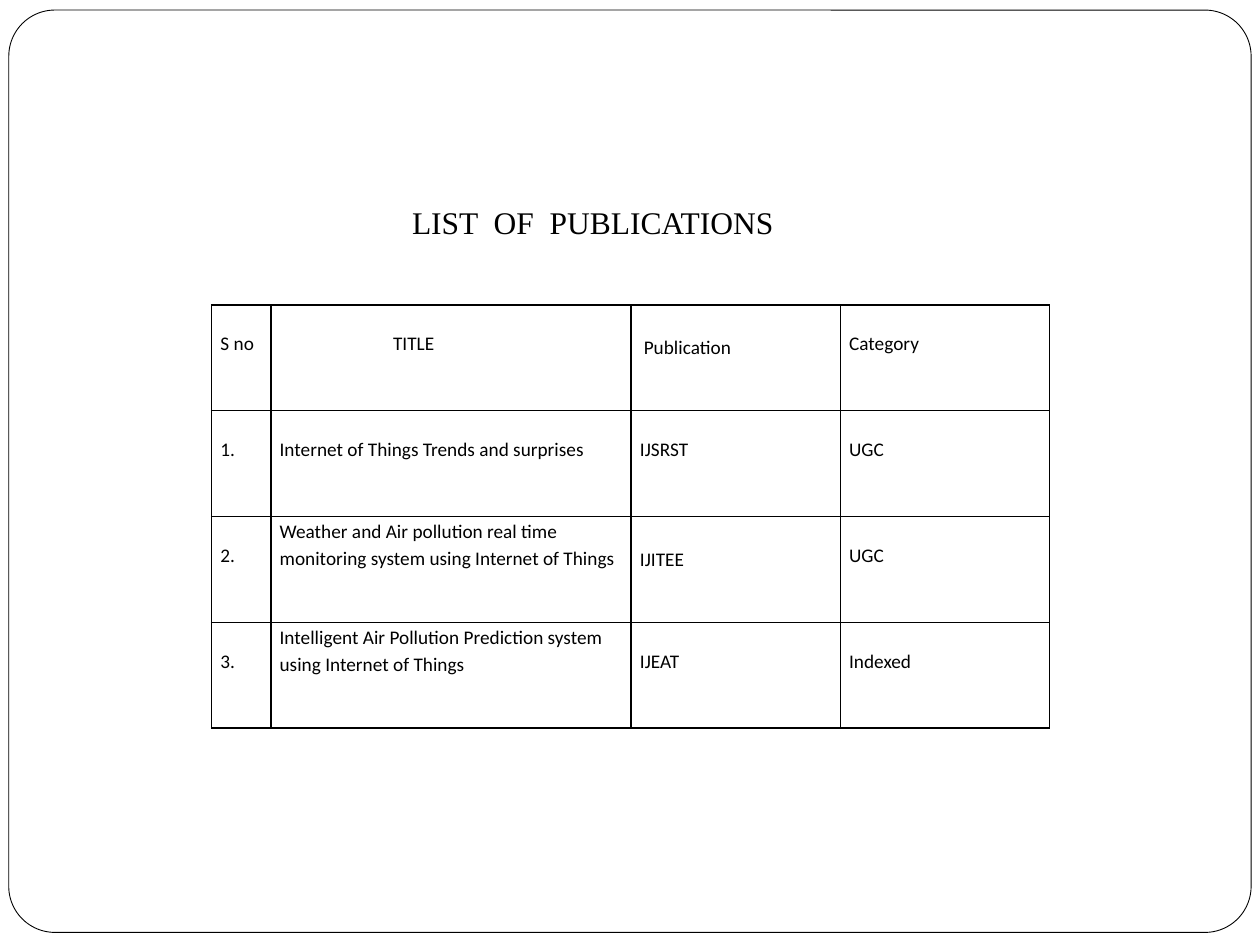
from lxml.etree import SubElement
from pptx import Presentation
from pptx.dml.color import RGBColor as RGB
from pptx.enum.shapes import MSO_SHAPE as Shape
from pptx.oxml.ns import qn
from pptx.util import Inches, Pt

COLORS = {"ink": "000000", "paper": "FFFFFF"}
ROWS = [
    ["S no", "TITLE", "Publication", "Category"],
    ["1.", "Internet of Things Trends and surprises", "IJSRST", "UGC"],
    ["2.", "Weather and Air pollution real time monitoring system "
           "using Internet of Things", "IJITEE", "UGC"],
    ["3.", "Intelligent Air Pollution Prediction system "
           "using Internet of Things", "IJEAT", "Indexed"],
]
COLUMN_WIDTHS = [0.47, 2.86, 1.66, 1.66]
ROW_HEIGHT = 0.84
SIDE, DROP = 0.07, 0.19  # usual side and top insets of a cell
# (row, column): (left inset, top inset)
INSETS = {(0, 1): (0.97, DROP), (0, 2): (0.1, 0.22), (2, 1): (SIDE, 0),
          (2, 2): (SIDE, 0.22), (3, 1): (SIDE, 0)}


class SlideBuilder:
    def __init__(self, slide):
        self.slide = slide
        self.ink = RGB.from_string(COLORS["ink"])
        self.paper = RGB.from_string(COLORS["paper"])

    def style_text(self, frame, font, size):
        for paragraph in frame.paragraphs:
            for run in paragraph.runs:
                run.font.name = font
                run.font.size = Pt(size)
                run.font.color.rgb = self.ink

    def frame(self, left, top, width, height):
        border = self.slide.shapes.add_shape(
            Shape.ROUNDED_RECTANGLE, *map(Inches, (left, top, width, height)))
        border.adjustments[0] = 0.05
        border.shadow.inherit = False
        border.fill.solid()
        border.fill.fore_color.rgb = self.paper
        border.line.color.rgb = self.ink
        border.line.width = Pt(0.5)

    def heading(self, text, left, top, width, height, indent):
        box = self.slide.shapes.add_textbox(
            *map(Inches, (left, top, width, height)))
        box.text_frame.word_wrap = True
        box.text_frame.margin_left = Inches(indent)
        box.text_frame.text = text
        self.style_text(box.text_frame, "Times New Roman", 18)

    def cell_borders(self, cell):
        properties = cell._tc.get_or_add_tcPr()
        for position, side in enumerate(("lnL", "lnR", "lnT", "lnB")):
            line = properties.makeelement(qn(f"a:{side}"), {"w": str(Pt(1))})
            fill = SubElement(line, qn("a:solidFill"))
            SubElement(fill, qn("a:srgbClr"), val=COLORS["ink"])
            properties.insert(position, line)

    def cell(self, cell, text, left, top):
        cell.margin_left, cell.margin_right = Inches(left), Inches(SIDE)
        cell.margin_top, cell.margin_bottom = Inches(top), 0
        cell.fill.background()
        cell.text_frame.text = text
        cell.text_frame.paragraphs[0].line_spacing = 1.15
        self.style_text(cell.text_frame, "Calibri", 11)
        self.cell_borders(cell)

    def table(self, rows, left, top):
        table = self.slide.shapes.add_table(
            len(rows), len(COLUMN_WIDTHS), Inches(left), Inches(top),
            Inches(sum(COLUMN_WIDTHS)), Inches(ROW_HEIGHT * len(rows))).table
        table.first_row = table.horz_banding = False
        for column, width in zip(table.columns, COLUMN_WIDTHS):
            column.width = Inches(width)
        for r, row in enumerate(rows):
            table.rows[r].height = Inches(ROW_HEIGHT)
            for c, text in enumerate(row):
                self.cell(table.cell(r, c), text,
                          *INSETS.get((r, c), (SIDE, DROP)))


def main():
    deck = Presentation()
    deck.slide_width, deck.slide_height = Inches(10), Inches(7.5)
    builder = SlideBuilder(deck.slides.add_slide(deck.slide_layouts[6]))

    # Rounded page border
    builder.frame(0.07, 0.08, 9.86, 7.32)
    # Heading
    builder.heading("LIST  OF  PUBLICATIONS", 1.8, 1.56, 6.09, 0.4, 1.47)
    # Publications
    builder.table(ROWS, 1.68, 2.42)

    deck.save("out.pptx")


if __name__ == "__main__":
    main()
